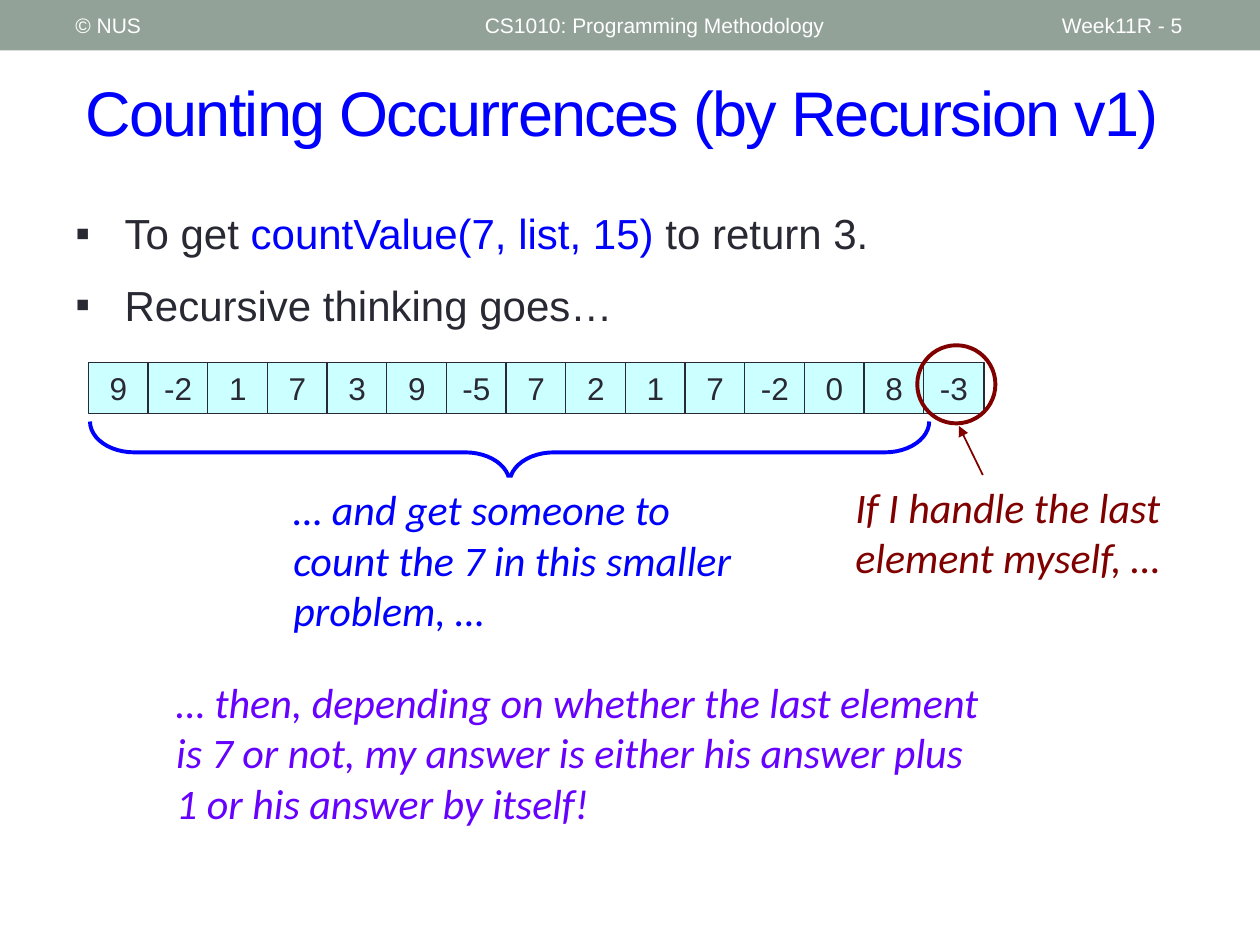
from dataclasses import dataclass

from lxml.etree import SubElement
from pptx import Presentation
from pptx.dml.color import RGBColor
from pptx.enum.shapes import MSO_CONNECTOR, MSO_SHAPE
from pptx.enum.text import MSO_ANCHOR, PP_ALIGN
from pptx.oxml.ns import qn
from pptx.util import Inches, Pt


@dataclass(frozen=True)
class Theme:
    band: RGBColor = RGBColor.from_string("93A299")
    white: RGBColor = RGBColor.from_string("FFFFFF")
    ink: RGBColor = RGBColor.from_string("292934")
    blue: RGBColor = RGBColor.from_string("0000FF")
    maroon: RGBColor = RGBColor.from_string("800000")
    purple: RGBColor = RGBColor.from_string("6600FF")
    cell: RGBColor = RGBColor.from_string("CCFFFF")
    sans: str = "Arial"
    hand: str = "Calibri"
    title_size: Pt = Pt(36)
    body_size: Pt = Pt(24)
    cell_size: Pt = Pt(18)
    header_size: Pt = Pt(12)


theme = Theme()


def style_font(font, size, color, name=theme.sans, italic=False):
    font.size = size
    font.name = name
    font.color.rgb = color
    font.italic = italic


def add_outline(kind, left, top, width, height, fill=None, line=None, weight=0.75):
    shape = page.shapes.add_shape(
        kind, Inches(left), Inches(top), Inches(width), Inches(height))
    shape.shadow.inherit = False
    if fill is None:
        shape.fill.background()
    else:
        shape.fill.solid()
        shape.fill.fore_color.rgb = fill
    if line is None:
        shape.line.fill.background()
    else:
        shape.line.color.rgb = line
        shape.line.width = Pt(weight)
    return shape


deck = Presentation()
deck.slide_width = Inches(10)
deck.slide_height = Inches(7.5)
page = deck.slides.add_slide(deck.slide_layouts[5])

title = page.shapes.title
title.left, title.top = Inches(0.58), Inches(0.42)
title.width, title.height = Inches(9.17), Inches(0.92)
title.text_frame.text = "Counting Occurrences (by Recursion v1)"
title.text_frame.vertical_anchor = MSO_ANCHOR.MIDDLE
para = title.text_frame.paragraphs[0]
para.alignment = PP_ALIGN.LEFT
span = para.runs[0]
style_font(span.font, theme.title_size, theme.blue)
span.font._element.set("spc", "-100")

add_outline(MSO_SHAPE.RECTANGLE, 0, 0, 10, 0.4, fill=theme.band)
for text, left, width in [
    ("© NUS", 0.5, 3.17),
    ("CS1010: Programming Methodology", 3.75, 4.5),
    ("Week11R - 5", 8.33, 1.17),
]:
    box = page.shapes.add_textbox(Inches(left), Inches(0.02), Inches(width), Inches(0.36))
    box.text_frame.word_wrap = True
    box.text_frame.vertical_anchor = MSO_ANCHOR.MIDDLE
    box.text_frame.text = text
    style_font(box.text_frame.paragraphs[0].runs[0].font, theme.header_size, theme.white)

bullets = [
    [("To get ", theme.ink), ("countValue(7, list, 15)", theme.blue), (" to return 3.", theme.ink)],
    [("Recursive thinking goes…", theme.ink)],
]
box = page.shapes.add_textbox(Inches(0.5), Inches(1.6), Inches(7.85), Inches(1.08))
frame = box.text_frame
frame.word_wrap = True
for index, pieces in enumerate(bullets):
    para = frame.add_paragraph() if index else frame.paragraphs[0]
    if index:
        para.space_before = Pt(12)
    properties = para._p.get_or_add_pPr()
    properties.set("marL", str(Inches(0.39)))
    properties.set("indent", str(-Inches(0.39)))
    SubElement(properties, qn("a:buFont"), typeface=theme.sans)
    SubElement(properties, qn("a:buChar"), char="▪")
    for text, color in pieces:
        span = para.add_run()
        span.text = text
        style_font(span.font, theme.body_size, color)

values = [9, -2, 1, 7, 3, 9, -5, 7, 2, 1, 7, -2, 0, 8, -3]
first_left, last_left = 0.7, 7.33
pitch = (last_left - first_left) / (len(values) - 1)
for index, value in enumerate(values):
    cell = add_outline(MSO_SHAPE.RECTANGLE, first_left + index * pitch, 2.88, 0.48, 0.4,
                       fill=theme.cell, line=theme.ink)
    cell.text_frame.text = str(value)
    para = cell.text_frame.paragraphs[0]
    para.alignment = PP_ALIGN.CENTER
    style_font(para.runs[0].font, theme.cell_size, theme.ink)

brace = add_outline(MSO_SHAPE.LEFT_BRACE, 3.8, 0.26, 0.49, 6.66, line=theme.blue, weight=2.25)
brace.rotation = 270
brace.adjustments[0] = 0.717
brace.adjustments[1] = 0.5

for text, color, left, top, width, height in [
    ("If I handle the last element myself, …", theme.maroon, 6.69, 3.77, 2.79, 0.91),
    ("… and get someone to count the 7 in this smaller problem, …",
     theme.blue, 2.23, 3.79, 3.92, 1.31),
    ("… then, depending on whether the last element is 7 or not, my answer is either "
     "his answer plus 1 or his answer by itself!", theme.purple, 1.3, 5.32, 6.64, 1.31),
]:
    note = add_outline(MSO_SHAPE.RECTANGLE, left, top, width, height, fill=theme.white)
    note.text_frame.word_wrap = True
    note.text_frame.vertical_anchor = MSO_ANCHOR.TOP
    note.text_frame.text = text
    para = note.text_frame.paragraphs[0]
    para.alignment = PP_ALIGN.LEFT
    style_font(para.runs[0].font, theme.body_size, color, theme.hand, italic=True)

add_outline(MSO_SHAPE.OVAL, 7.28, 2.74, 0.62, 0.62, line=theme.maroon, weight=2.25)
arrow = page.shapes.add_connector(
    MSO_CONNECTOR.STRAIGHT, Inches(7.8), Inches(3.77), Inches(7.61), Inches(3.38))
arrow.end_x, arrow.end_y = Inches(7.61), Inches(3.38)
arrow.line.color.rgb = theme.maroon
arrow.line.width = Pt(1)
SubElement(arrow.line._get_or_add_ln(), qn("a:tailEnd"), type="triangle")
SubElement(arrow._element.spPr, qn("a:effectLst"))

deck.save("out.pptx")
